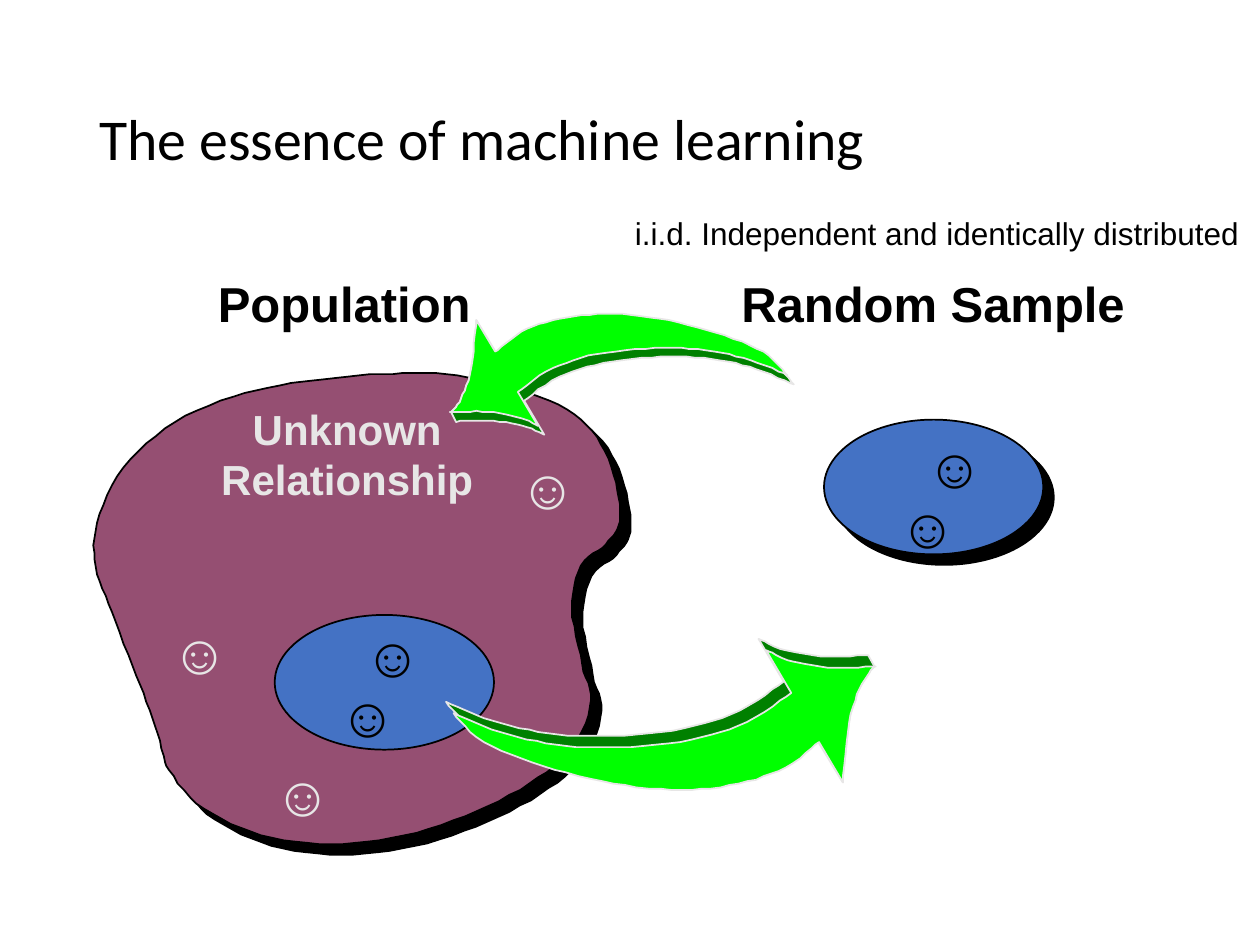
from lxml.etree import SubElement
from pptx import Presentation
from pptx.dml.color import RGBColor
from pptx.enum.shapes import MSO_SHAPE
from pptx.enum.text import MSO_ANCHOR, MSO_AUTO_SIZE, PP_ALIGN
from pptx.oxml.ns import qn
from pptx.util import Pt

COLORS = {
    "black": "000000",
    "light": "E7E6E6",
    "purple": "954F72",
    "blue": "4472C4",
    "dark_green": "008000",
    "green": "00FF00",
}
OUTLINE_UNIT = Pt(0.72)  # outlines are given in hundredths of an inch
CURVE_STEPS = 6  # straight pieces between two knots of a curve


def write_text(shape, text, size=18, color="black", bold=False, font="Arial",
               align=PP_ALIGN.LEFT, wrap=True, auto_size=MSO_AUTO_SIZE.SHAPE_TO_FIT_TEXT):
    frame = shape.text_frame
    frame.word_wrap = wrap
    frame.auto_size = auto_size
    paragraph = frame.paragraphs[0]
    paragraph.alignment = align
    run = paragraph.add_run()
    run.text = text
    run.font.name = font
    run.font.size = Pt(size)
    run.font.bold = bold
    run.font.color.rgb = RGBColor.from_string(COLORS[color])


def smooth_curve(knots):
    """Return points on a Catmull-Rom curve that runs through all knots."""
    padded = [knots[0], *knots, knots[-1]]
    points = [knots[0]]
    for before, start, end, after in zip(padded, padded[1:], padded[2:], padded[3:]):
        for step in range(1, CURVE_STEPS + 1):
            t = step / CURVE_STEPS
            points.append(tuple(
                b + t / 2 * (c - a + t * (2 * a - 5 * b + 4 * c - d
                                          + t * (3 * b - a - 3 * c + d)))
                for a, b, c, d in zip(before, start, end, after)))
    return points


presentation = Presentation()
presentation.slide_width = Pt(720)
presentation.slide_height = Pt(540)
slide = presentation.slides.add_slide(presentation.slide_layouts[5])
shapes = slide.shapes
styled_shapes = []  # shape, fill, line, whether it casts a shadow

# Title
title = shapes.title
title.left, title.top, title.width, title.height = Pt(49.5), Pt(28.8), Pt(621), Pt(104.4)
write_text(title, "The essence of machine learning", size=33, font="Calibri",
           auto_size=MSO_AUTO_SIZE.NONE)
title.text_frame.vertical_anchor = MSO_ANCHOR.MIDDLE
title.text_frame.paragraphs[0].line_spacing = 0.9

# Population: one closed curve, counterclockwise from the kink at the lower left
bottom_side = [(132, 608), (156, 638), (199, 660), (253, 670), (311, 665),
               (369, 648), (420, 622), (455, 592), (469, 556)]
right_notch = [(462, 527), (454, 483), (461, 449), (481, 432), (491, 417), (491, 395)]
top_side = [(480, 358), (456, 329), (412, 309), (354, 297), (303, 297), (249, 302),
            (194, 312), (139, 335)]
left_side = [(98, 371), (77, 415), (76, 450), (89, 486), (108, 536), (123, 576), (132, 608)]
population_points = smooth_curve(bottom_side + right_notch + top_side + left_side)
builder = shapes.build_freeform(*population_points[0], scale=OUTLINE_UNIT)
builder.add_line_segments(population_points[1:])
styled_shapes.append((builder.convert_to_shape(), "purple", "black", True))

# The sample, drawn out of the population and inside it
for left, top, shadow in [(470.9, 239.8, True), (157, 351.4, False)]:
    sample = shapes.add_shape(MSO_SHAPE.OVAL, Pt(left), Pt(top), Pt(125.3), Pt(77))
    styled_shapes.append((sample, "blue", "black", shadow))

# Labels
labels = [
    ("Unknown Relationship", 117.4, 226.8, 162, 64.8, 24, "light", True, PP_ALIGN.CENTER),
    ("Population", 117.4, 152.6, 162, 40.3, 28, "black", True, PP_ALIGN.LEFT),
    ("Random Sample", 410.4, 152.6, 245.5, 40.3, 28, "black", True, PP_ALIGN.CENTER),
    ("i.i.d. Independent and identically distributed", 355.7, 118.8, 363, 28.8,
     18, "black", False, PP_ALIGN.LEFT),
]
for text, left, top, width, height, size, color, bold, align in labels:
    box = shapes.add_textbox(Pt(left), Pt(top), Pt(width), Pt(height))
    write_text(box, text, size=size, color=color, bold=bold, align=align)

# Individuals: light ones are outside the sample, black ones belong to it
individuals = {
    "light": [(89.3, 349.9), (288, 255.6), (148.3, 431.3)],
    "black": [(199.4, 351.4), (185, 385.9), (520.6, 243.4), (505.4, 277.9)],
}
for color, positions in individuals.items():
    for left, top in positions:
        box = shapes.add_textbox(Pt(left), Pt(top), Pt(50.4), Pt(45.4))
        write_text(box, "☺", size=32, color=color, bold=True,
                   align=PP_ALIGN.CENTER, wrap=False)

# Arrow: curves that meet at corners; the bright face is the dark edge moved
# by face_shift, while the front of the head is common to both.
outer_curve = smooth_curve([(354, 557), (378, 580), (425, 599), (481, 613),
                            (535, 618), (580, 613), (618, 600), (644, 580)])
head_front = smooth_curve([(669, 621), (674, 573), (684, 543), (694, 529)])
head_back = smooth_curve([(689, 520), (657, 521), (623, 516), (602, 507)])
inner_curve = smooth_curve([(622, 541), (587, 564), (543, 578), (486, 584),
                            (435, 582), (391, 572), (354, 557)])
face_shift = (6, 9)

# The upper arrow is the lower one turned by half and shrunk to 80 %.
for scale, offset_x, offset_y in [(1, 0, 0), (-0.8, 913.2, 750.6)]:
    parts = []
    for (shift_x, shift_y), fill in [((0, 0), "dark_green"), (face_shift, "green")]:
        outer, back, inner = (
            [(x + shift_x, y + shift_y) for x, y in curve]
            for curve in (outer_curve, head_back, inner_curve))
        points = [(offset_x + scale * x, offset_y + scale * y)
                  for x, y in outer + head_front + back + inner]
        builder = shapes.build_freeform(*points[0], scale=OUTLINE_UNIT)
        builder.add_line_segments(points[1:])
        part = builder.convert_to_shape()
        parts.append(part)
        styled_shapes.append((part, fill, "light", False))
    shapes.add_group_shape(parts)

# Fill, outline and hard shadow to the lower right
for shape, fill, line, shadow in styled_shapes:
    shape.fill.solid()
    shape.fill.fore_color.rgb = RGBColor.from_string(COLORS[fill])
    shape.line.color.rgb = RGBColor.from_string(COLORS[line])
    shape.line.width = Pt(1)
    shape.shadow.inherit = False
    if shadow:
        effects = shape._element.spPr.find(qn("a:effectLst"))
        outer_shadow = SubElement(effects, qn("a:outerShdw"), dist=str(Pt(8.5)),
                                  dir="2700000", algn="ctr", rotWithShape="0")
        SubElement(outer_shadow, qn("a:srgbClr"), val=COLORS["black"])

presentation.save("out.pptx")
